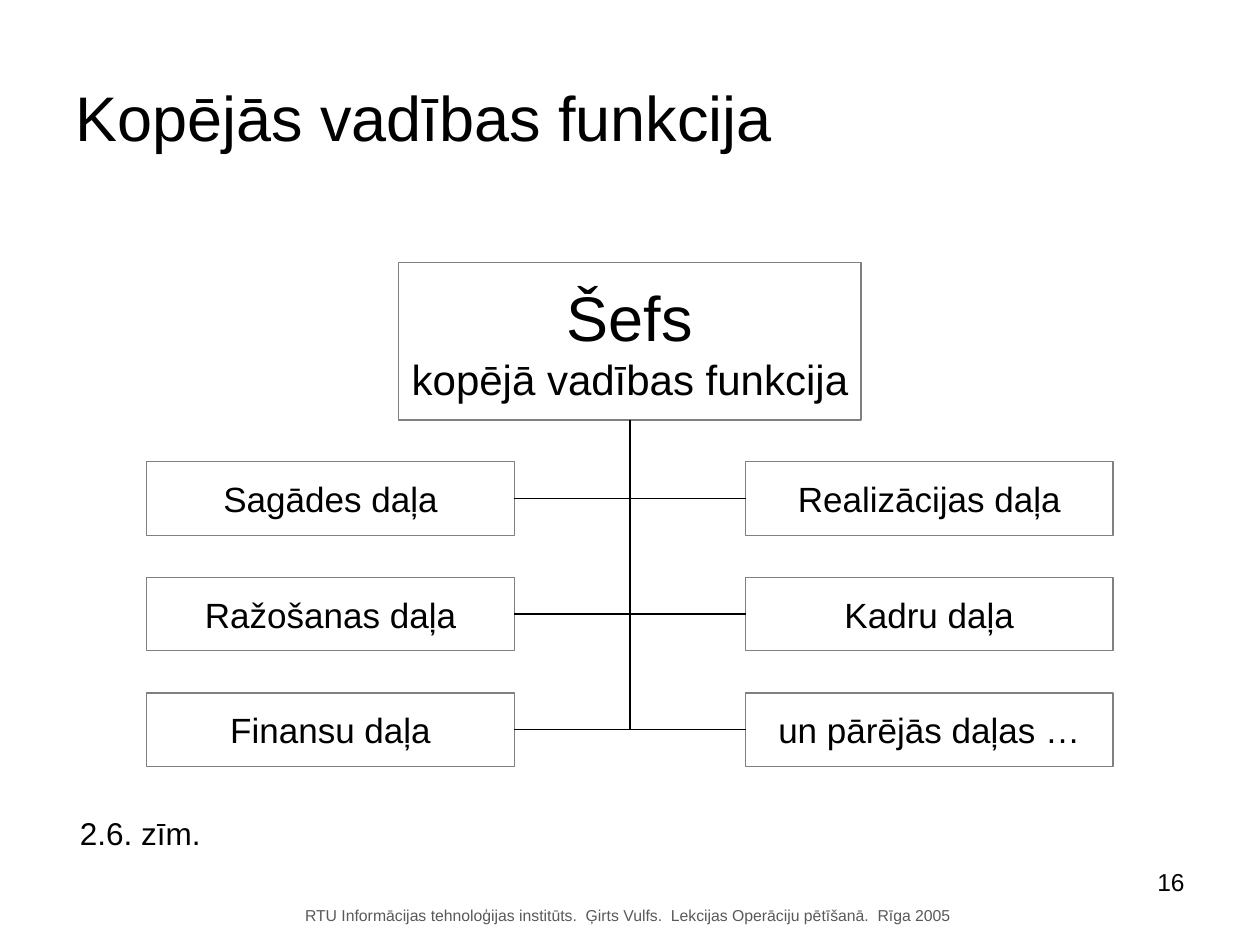
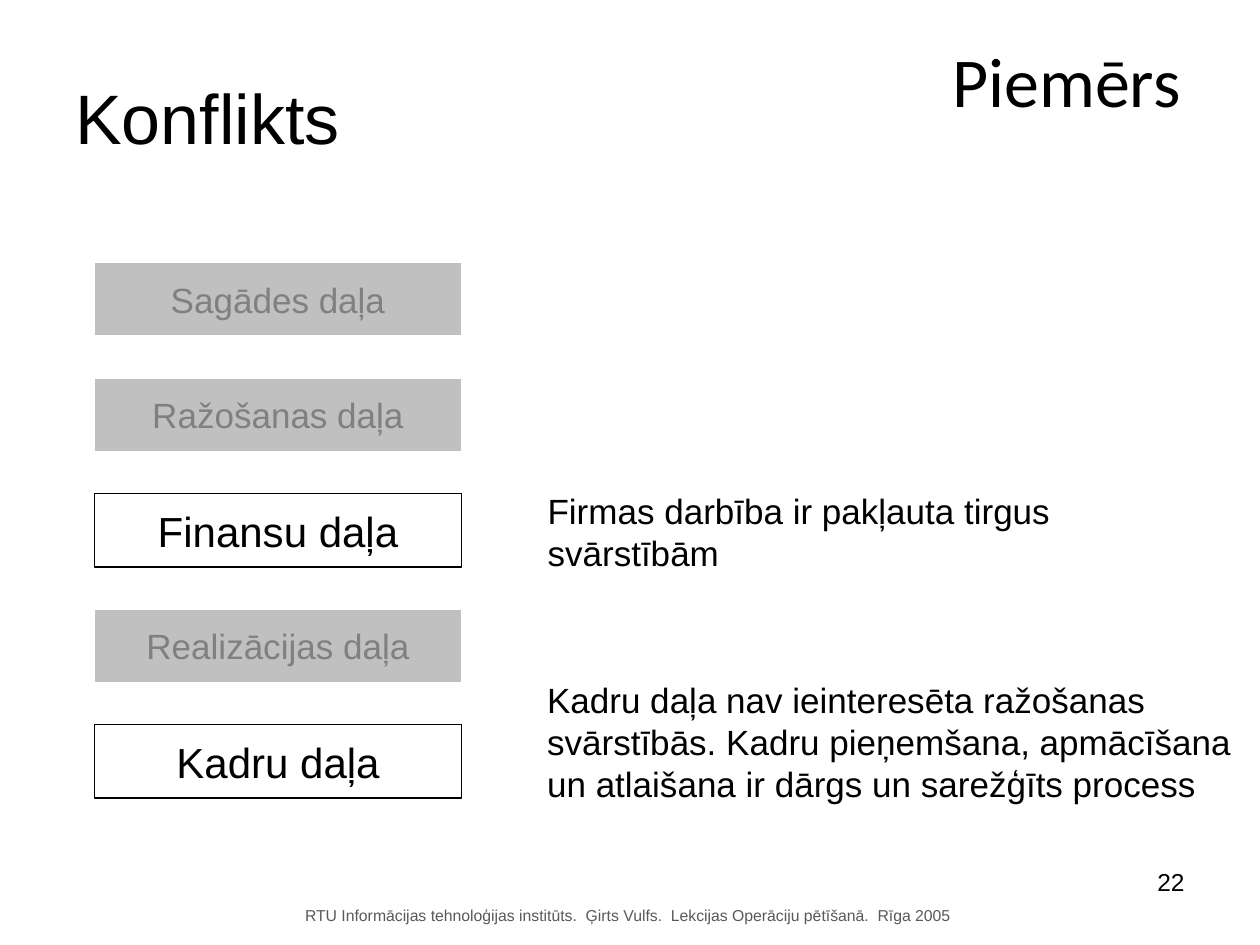
"""Build two lecture slides on shared management and conflict between departments."""
import pptx
import pptx.dml.color
import pptx.enum.shapes
import pptx.enum.text
import pptx.oxml.ns
import pptx.util
from lxml import etree

Cm = pptx.util.Cm
Pt = pptx.util.Pt
ALIGN = pptx.enum.text.PP_ALIGN
ANCHOR = pptx.enum.text.MSO_ANCHOR

BLACK, WHITE = "000000", "FFFFFF"
GREY, SILVER, FOOTER_GREY = "808080", "C0C0C0", "595959"
FOOTER = "RTU Informācijas tehnoloģijas institūts.  Ģirts Vulfs.  Lekcijas Operāciju pētīšanā.  Rīga 2005"

PAGE_WIDTH, PAGE_HEIGHT = 25.4, 19.05
CHART_TOP = 5.29
UNIT_WIDTH, UNIT_HEIGHT, UNIT_PITCH = 7.41, 1.48, 2.33
BOTTOM_SITE, LEFT_SITE, RIGHT_SITE = 2, 1, 3


def color(code):
    """Turn a hex string into a colour."""
    return pptx.dml.color.RGBColor.from_string(code)


def write(frame, lines, ink=BLACK, font="Arial", align=ALIGN.LEFT, anchor=ANCHOR.TOP, wrap=False):
    """Fill a text frame with (text, size) lines, one paragraph each."""
    frame.word_wrap = wrap
    frame.vertical_anchor = anchor
    for index, (text, size) in enumerate(lines):
        para = frame.add_paragraph() if index else frame.paragraphs[0]
        para.alignment = align
        span = para.add_run()
        span.text = text
        span.font.name = font
        span.font.size = Pt(size)
        span.font.color.rgb = color(ink)


def add_text(page, place, lines, **style):
    """Add a text box at (left, top, width, height) in centimetres."""
    box = page.shapes.add_textbox(*map(Cm, place))
    write(box.text_frame, lines, **style)


def add_unit(page, place, lines, fill=WHITE, line=GREY, ink=BLACK):
    """Add a bordered rectangle with centred text."""
    box = page.shapes.add_shape(pptx.enum.shapes.MSO_SHAPE.RECTANGLE, *map(Cm, place))
    box.shadow.inherit = False
    box.fill.solid()
    box.fill.fore_color.rgb = color(fill)
    box.line.color.rgb = color(line)
    box.line.width = Pt(0.75)
    write(box.text_frame, lines, ink, align=ALIGN.CENTER, anchor=ANCHOR.MIDDLE)
    return box


def add_elbow(page, chief, unit):
    """Link the chief's bottom to the near side of a unit with one right-angle bend."""
    start_x, start_y = chief.left + chief.width // 2, chief.top + chief.height
    to_right = unit.left > start_x
    end_x = unit.left if to_right else unit.left + unit.width
    end_y = unit.top + unit.height // 2
    elbow = page.shapes.add_connector(
        pptx.enum.shapes.MSO_CONNECTOR.ELBOW, start_x, start_y, end_x, end_y)
    elbow.begin_connect(chief, BOTTOM_SITE)
    elbow.end_connect(unit, LEFT_SITE if to_right else RIGHT_SITE)
    elbow.line.color.rgb = color(BLACK)
    elbow.line.width = Pt(0.75)
    across, down = abs(end_x - start_x), end_y - start_y
    elbow.left = (start_x + end_x - down) // 2
    elbow.top = (start_y + end_y - across) // 2
    elbow.width, elbow.height = down, across
    properties = elbow._element.spPr
    properties.find(pptx.oxml.ns.qn("a:prstGeom")).set("prst", "bentConnector2")
    frame = properties.find(pptx.oxml.ns.qn("a:xfrm"))
    frame.set("rot", "16200000" if to_right else "5400000")
    frame.set("flipH", "1" if to_right else "0")
    etree.SubElement(properties, pptx.oxml.ns.qn("a:effectLst"))


def add_page(deck, title, title_size, number):
    """Add a blank page with its title, page number and footer."""
    page = deck.slides.add_slide(deck.slide_layouts[6])
    add_text(page, (5.9, 18.14, 13.54, 0.64), [(FOOTER, 9)], ink=FOOTER_GREY)
    add_text(page, (1.27, 0.76, 22.86, 3.18), [(title, title_size)], anchor=ANCHOR.MIDDLE, wrap=True)
    add_text(page, (22.1, 17.35, 2.03, 1.32), [(number, 14)], align=ALIGN.RIGHT, wrap=True)
    return page


def build_management(deck):
    """Build the organisation chart with the chief above paired departments."""
    page = add_page(deck, "Kopējās vadības funkcija", 36, "16")
    chief = add_unit(page, (8.04, CHART_TOP, 9.32, 3.18),
                     [("Šefs", 36), ("kopējā vadības funkcija", 24)])
    left_edge = 2.96
    right_edge = PAGE_WIDTH - left_edge - UNIT_WIDTH
    pairs = [("Sagādes daļa", "Realizācijas daļa"),
             ("Ražošanas daļa", "Kadru daļa"),
             ("Finansu daļa", "un pārējās daļas …")]
    for row, names in enumerate(pairs):
        top = 9.31 + row * UNIT_PITCH
        for edge, name in zip((left_edge, right_edge), names):
            unit = add_unit(page, (edge, top, UNIT_WIDTH, UNIT_HEIGHT), [(name, 20)])
            add_elbow(page, chief, unit)
    add_text(page, (1.36, 16.28, 2.95, 1.02), [("2.6. zīm.", 18)])


def build_conflict(deck):
    """Build the department column with the two conflicting departments explained."""
    page = add_page(deck, "Konflikts", 40, "22")
    departments = [("Sagādes daļa", False), ("Ražošanas daļa", False), ("Finansu daļa", True),
                   ("Realizācijas daļa", False), ("Kadru daļa", True)]
    for row, (name, active) in enumerate(departments):
        place = (1.9, CHART_TOP + row * UNIT_PITCH, UNIT_WIDTH, UNIT_HEIGHT)
        if active:
            add_unit(page, place, [(name, 24)], line=BLACK)
        else:
            add_unit(page, place, [(name, 20)], fill=SILVER, line=WHITE, ink=GREY)
    add_text(page, (10.78, 13.56, 14.3, 2.79),
             [("Kadru daļa nav ieinteresēta ražošanas", 20),
              ("svārstībās. Kadru pieņemšana, apmācīšana", 20),
              ("un atlaišana ir dārgs un sarežģīts process", 20)])
    add_text(page, (10.79, 9.75, 10.64, 1.96),
             [("Firmas darbība ir pakļauta tirgus", 20), ("svārstībām", 20)])
    add_text(page, (18.95, 0.64, 5.89, 1.96), [("Piemērs", 40)], font="Calibri", wrap=True)


def main():
    """Create the deck and save it."""
    deck = pptx.Presentation()
    deck.slide_width, deck.slide_height = Cm(PAGE_WIDTH), Cm(PAGE_HEIGHT)
    build_management(deck)
    build_conflict(deck)
    deck.save("out.pptx")


if __name__ == "__main__":
    main()
